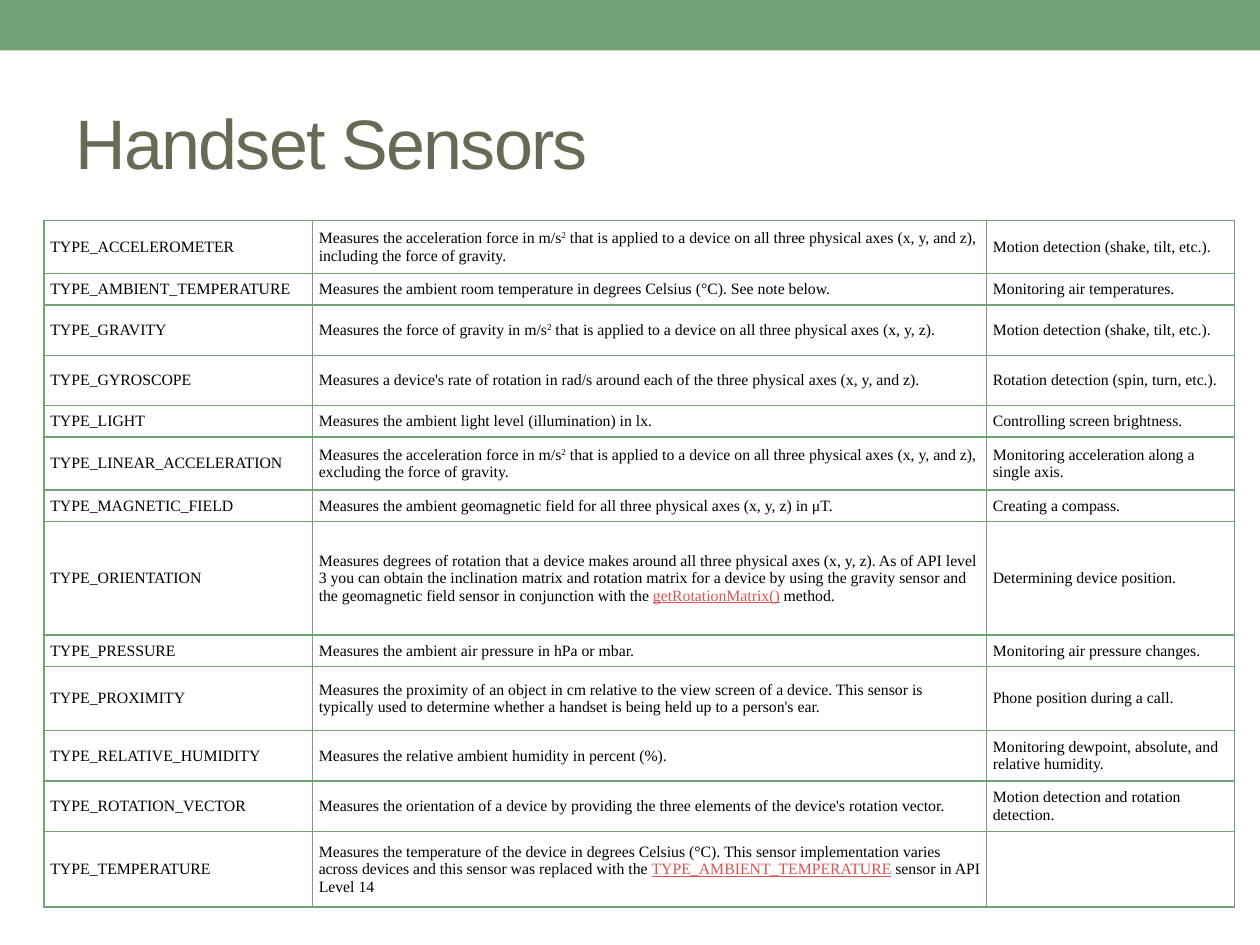
"""Build a slide with a table of sensor types."""
from dataclasses import dataclass
from typing import Any, NamedTuple

from lxml import etree
from pptx import Presentation
from pptx.dml.color import RGBColor
from pptx.enum import shapes, text
from pptx.oxml import ns
from pptx.util import Inches, Pt


@dataclass(frozen=True)
class Theme:
    """Colours, fonts and type sizes."""
    green: str = "72A376"
    olive: str = "676A55"
    ink: str = "000000"
    link: str = "DB5353"
    head: str = "Arial"
    body: str = "Times New Roman"
    big: int = 40
    small: int = 9


class Span(NamedTuple):
    """A piece of text with its role."""
    words: str
    role: str = "plain"


class Sensor(NamedTuple):
    """One table row."""
    name: str
    high: float
    about: tuple[Span, ...]
    use: str = ""


THEME = Theme()
COLS = (2.13, 5.35, 1.97)
SQUARE = Span("2", "super")
FORCE = Span("Measures the acceleration force in m/s")
AXES = " that is applied to a device on all three physical axes "
SHAKE = "Motion detection (shake, tilt, etc.)."
SENSORS = (
    Sensor("TYPE_ACCELEROMETER", 0.42,
           (FORCE, SQUARE, Span(AXES + "(x, y, and z), including the force of gravity.")), SHAKE),
    Sensor("TYPE_AMBIENT_TEMPERATURE", 0.25,
           (Span("Measures the ambient room temperature in degrees Celsius (°C). See note below."),),
           "Monitoring air temperatures."),
    Sensor("TYPE_GRAVITY", 0.4,
           (Span("Measures the force of gravity in m/s"), SQUARE, Span(AXES + "(x, y, z).")), SHAKE),
    Sensor("TYPE_GYROSCOPE", 0.4,
           (Span("Measures a device's rate of rotation in rad/s around each of the three "
                 "physical axes (x, y, and z)."),),
           "Rotation detection (spin, turn, etc.)."),
    Sensor("TYPE_LIGHT", 0.25,
           (Span("Measures the ambient light level (illumination) in lx."),),
           "Controlling screen brightness."),
    Sensor("TYPE_LINEAR_ACCELERATION", 0.42,
           (FORCE, SQUARE, Span(AXES + "(x, y, and z), excluding the force of gravity.")),
           "Monitoring acceleration along a single axis."),
    Sensor("TYPE_MAGNETIC_FIELD", 0.25,
           (Span("Measures the ambient geomagnetic field for all three physical axes (x, y, z) in μT."),),
           "Creating a compass."),
    Sensor("TYPE_ORIENTATION", 0.9,
           (Span("Measures degrees of rotation that a device makes around all three physical axes "
                 "(x, y, z). As of API level 3 you can obtain the inclination matrix and rotation "
                 "matrix for a device by using the gravity sensor and the geomagnetic field sensor "
                 "in conjunction with the "),
            Span("getRotationMatrix()", "link"), Span(" method.")),
           "Determining device position."),
    Sensor("TYPE_PRESSURE", 0.25,
           (Span("Measures the ambient air pressure in hPa or mbar."),),
           "Monitoring air pressure changes."),
    Sensor("TYPE_PROXIMITY", 0.51,
           (Span("Measures the proximity of an object in cm relative to the view screen of a device. "
                 "This sensor is typically used to determine whether a handset is being held up to "
                 "a person's ear."),),
           "Phone position during a call."),
    Sensor("TYPE_RELATIVE_HUMIDITY", 0.4,
           (Span("Measures the relative ambient humidity in percent (%)."),),
           "Monitoring dewpoint, absolute, and relative humidity."),
    Sensor("TYPE_ROTATION_VECTOR", 0.4,
           (Span("Measures the orientation of a device by providing the three elements of the "
                 "device's rotation vector."),),
           "Motion detection and rotation detection."),
    Sensor("TYPE_TEMPERATURE", 0.6,
           (Span("Measures the temperature of the device in degrees Celsius (°C). This sensor "
                 "implementation varies across devices and this sensor was replaced with the "),
            Span("TYPE_AMBIENT_TEMPERATURE", "link"), Span(" sensor in API Level 14"))),
)


def apply(item: Any, values: dict[str, Any]) -> None:
    """Set each named attribute on an object."""
    for key, value in values.items():
        setattr(item, key, value)


def add_run(para: Any, words: str, face: str, size: int, hue: str) -> Any:
    """Add a styled run to a paragraph."""
    run = para.add_run()
    run.text = words
    apply(run.font, {"name": face, "size": Pt(size), "bold": False})
    run.font.color.rgb = RGBColor.from_string(hue)
    return run


def add_edges(cell: Any) -> None:
    """Draw a border on all four sides of a cell."""
    props = cell._tc.get_or_add_tcPr()
    for place, side in enumerate("LRTB"):
        line = etree.Element(ns.qn(f"a:ln{side}"), w=str(Pt(1)))
        fill = etree.SubElement(line, ns.qn("a:solidFill"))
        etree.SubElement(fill, ns.qn("a:srgbClr"), val=THEME.green)
        props.insert(place, line)


def fill_cell(cell: Any, spans: tuple[Span, ...]) -> None:
    """Format a cell and write its spans."""
    pad = Inches(0.05)
    apply(cell, {"margin_left": pad, "margin_right": pad, "margin_top": pad,
                 "margin_bottom": pad, "vertical_anchor": text.MSO_ANCHOR.MIDDLE})
    cell.fill.background()
    add_edges(cell)
    para = cell.text_frame.paragraphs[0]
    for span in spans:
        link = span.role == "link"
        run = add_run(para, span.words, THEME.body, THEME.small, THEME.link if link else THEME.ink)
        if link:
            run.font.underline = True
        if span.role == "super":
            run._r.get_or_add_rPr().set("baseline", "30000")


def add_bar(slide: Any) -> None:
    """Draw the band along the top edge."""
    bar = slide.shapes.add_shape(shapes.MSO_SHAPE.RECTANGLE, 0, 0, Inches(10), Inches(0.4))
    bar.shadow.inherit = False
    bar.fill.solid()
    bar.fill.fore_color.rgb = RGBColor.from_string(THEME.green)
    bar.line.fill.background()


def set_title(slide: Any, words: str) -> None:
    """Place and write the title."""
    title = slide.shapes.title
    apply(title, {"left": Inches(0.5), "top": Inches(0.58),
                  "width": Inches(9), "height": Inches(1.08)})
    apply(title.text_frame, {"vertical_anchor": text.MSO_ANCHOR.MIDDLE, "word_wrap": True,
                             "auto_size": text.MSO_AUTO_SIZE.NONE})
    para = title.text_frame.paragraphs[0]
    para.alignment = text.PP_ALIGN.LEFT
    run = add_run(para, words, THEME.head, THEME.big, THEME.olive)
    run._r.get_or_add_rPr().set("spc", "-100")


def add_grid(slide: Any, sensors: tuple[Sensor, ...]) -> None:
    """Add the table of sensors."""
    high = sum(sensor.high for sensor in sensors)
    table = slide.shapes.add_table(len(sensors), len(COLS), Inches(0.35), Inches(1.75),
                                   Inches(sum(COLS)), Inches(high)).table
    apply(table, {"first_row": False, "horz_banding": False})
    for col, wide in zip(table.columns, COLS):
        col.width = Inches(wide)
    for row, sensor in zip(table.rows, sensors):
        row.height = Inches(sensor.high)
        use = (Span(sensor.use),) if sensor.use else ()
        for cell, spans in zip(row.cells, ((Span(sensor.name),), sensor.about, use)):
            fill_cell(cell, spans)


def main() -> None:
    """Build and save the slide."""
    deck = Presentation()
    apply(deck, {"slide_width": Inches(10), "slide_height": Inches(7.5)})
    slide = deck.slides.add_slide(deck.slide_layouts[5])
    add_bar(slide)
    set_title(slide, "Handset Sensors")
    add_grid(slide, SENSORS)
    deck.save("out.pptx")


if __name__ == "__main__":
    main()
